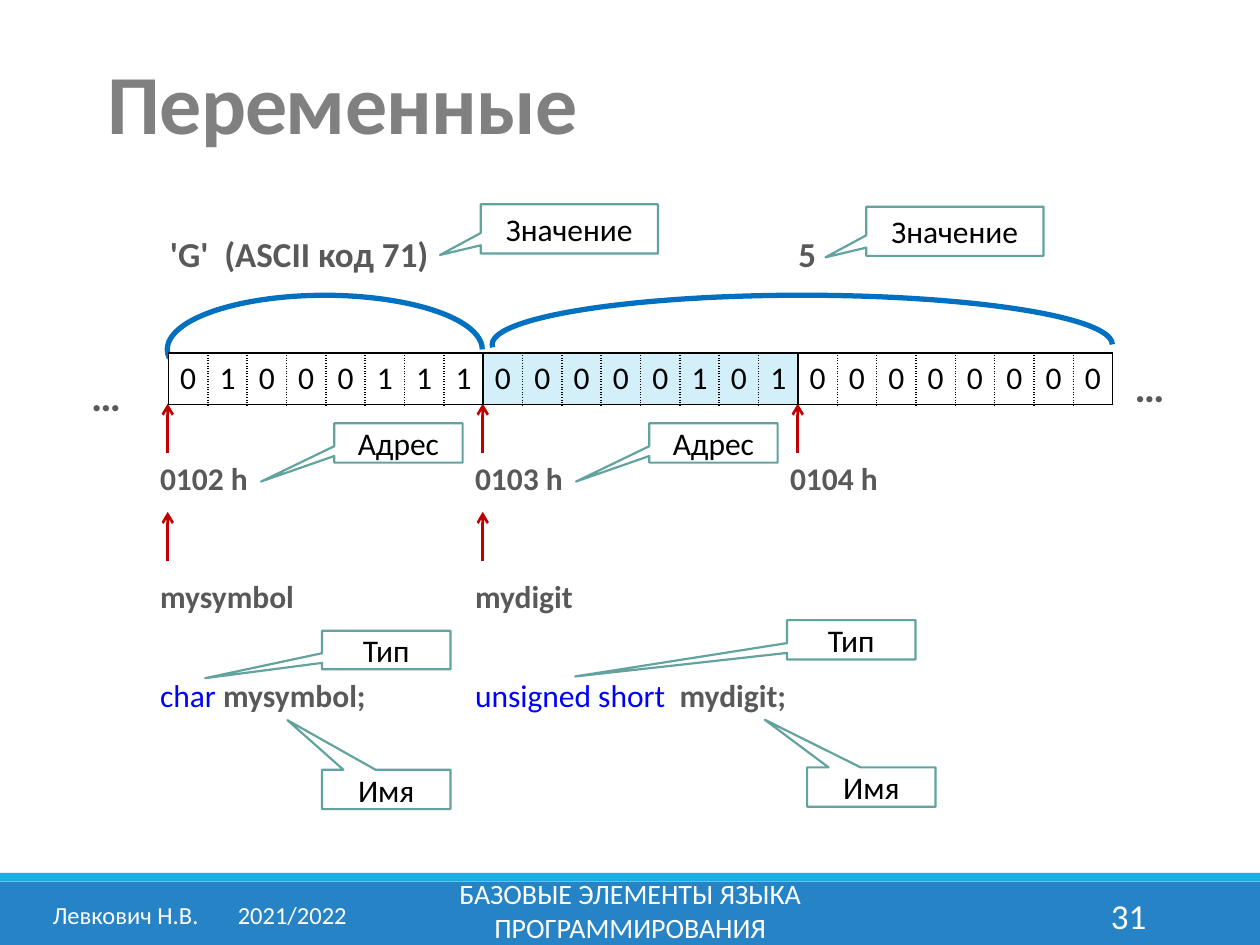
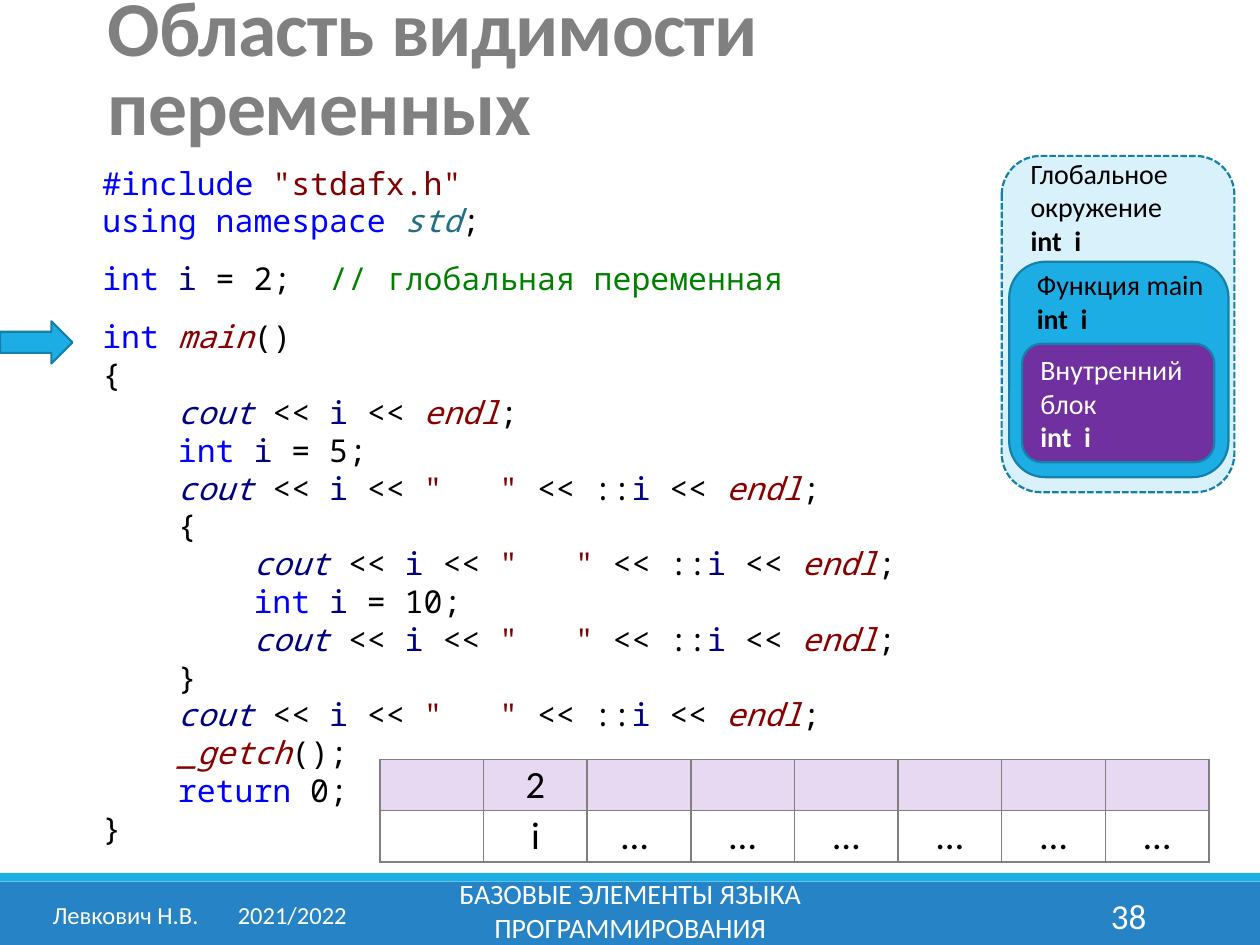
from dataclasses import dataclass, replace
from itertools import groupby
from typing import Iterator, NamedTuple, Optional

from lxml import etree
from pptx import Presentation
from pptx.dml.color import RGBColor
from pptx.enum.dml import MSO_LINE
from pptx.enum.shapes import MSO_CONNECTOR, MSO_SHAPE
from pptx.enum.text import MSO_ANCHOR, PP_ALIGN
from pptx.oxml.ns import qn
from pptx.util import Emu, Inches, Pt

LEFT, CENTER, RIGHT = PP_ALIGN.LEFT, PP_ALIGN.CENTER, PP_ALIGN.RIGHT
TOP, MIDDLE, BOTTOM = MSO_ANCHOR.TOP, MSO_ANCHOR.MIDDLE, MSO_ANCHOR.BOTTOM
RECTANGLE, ROUNDED, ARC = MSO_SHAPE.RECTANGLE, MSO_SHAPE.ROUNDED_RECTANGLE, MSO_SHAPE.ARC
CALLOUT, RIGHT_ARROW = MSO_SHAPE.RECTANGULAR_CALLOUT, MSO_SHAPE.RIGHT_ARROW
STRAIGHT, DASHED = MSO_CONNECTOR.STRAIGHT, MSO_LINE.SQUARE_DOT

SLIDE_WIDTH, SLIDE_HEIGHT = Inches(10), Inches(7.5)
UNIT = SLIDE_WIDTH // 32  # the slide is a grid of 32 columns and 24 rows
BYTE = 8  # columns taken by one byte of memory


@dataclass(frozen=True)
class Style:
    size: float
    colour: str
    bold: bool = False
    italic: bool = False
    font: str = "Calibri"


@dataclass(frozen=True)
class Theme:
    white: str = "FFFFFF"
    black: str = "000000"
    band: str = "2683C6"
    accent: str = "1CADE4"
    accent_dark: str = "1580A9"
    callout: str = "62A39F"
    arc: str = "0070C0"
    pointer: str = "C00000"
    digit_byte: str = "D2EFFA"
    block: str = "7030A0"
    value_row: str = "E8D9F3"
    grey: str = "808080"
    title: Style = Style(48, "808080", bold=True)
    label: Style = Style(18, "595959", bold=True)
    value: Style = Style(20, "595959", bold=True)
    ellipsis: Style = Style(24, "595959", bold=True)
    type_name: Style = Style(18, "0000FF")
    body: Style = Style(18, "000000")
    cell: Style = Style(22, "000000")
    scope: Style = Style(16, "000000")
    author: Style = Style(14, "FFFFFF")
    course: Style = Style(16, "FFFFFF")
    number: Style = Style(20, "FFFFFF")
    code: Style = Style(18, "000000", font="Noto Sans Mono")


THEME = Theme()
KEYWORD = replace(THEME.code, colour="0000FF")
VARIABLE = replace(THEME.code, colour="000080")
STREAM = replace(VARIABLE, italic=True)
FUNCTION = replace(THEME.code, colour="880000", italic=True)
NAMESPACE = replace(THEME.code, colour="216F85", italic=True)
STRING = replace(THEME.code, colour="800000")
COMMENT = replace(THEME.code, colour="008000")
WORD_STYLES = {
    **dict.fromkeys(("#include", "using", "namespace", "int", "return"), KEYWORD),
    **dict.fromkeys(("main", "endl", "_getch"), FUNCTION),
    "i": VARIABLE, "cout": STREAM, "std": NAMESPACE,
}


class Box(NamedTuple):
    """A place on the grid, in columns and rows."""
    col: float
    row: float
    cols: float
    rows: float

    def emu(self) -> list[Emu]:
        return [Emu(round(length * UNIT)) for length in self]


class Callout(NamedTuple):
    text: str
    box: Box
    tip: tuple[float, float]  # offset from the centre, in shares of the box


class Scope(NamedTuple):
    box: Box
    fill: str


class CodeLine(NamedTuple):
    text: str
    level: int = 0
    gap: float = 0


Run = tuple[str, Style]

BITS = "010001110000010100000000"
ADDRESSES = ("0102 h", "0103 h", "0104 h")
VARIABLE_NAMES = ("mysymbol", "mydigit")
DECLARATIONS = (("char ", "mysymbol;"), ("unsigned short  ", "mydigit;"))
CALLOUTS = (
    Callout("Тип", Box(8.18, 16.02, 3.26, 0.98), (-1.41, 0.73)),
    Callout("Тип", Box(19.99, 15.75, 3.26, 1), (-2.15, 0.93)),
    Callout("Имя", Box(8.18, 19.55, 3.26, 1), (-0.77, -1.76)),
    Callout("Имя", Box(20.5, 19.49, 3.26, 1), (-0.83, -1.71)),
    Callout("Адрес", Box(8.49, 10.75, 3.26, 1), (-1.07, 0.98)),
    Callout("Адрес", Box(8.49 + BYTE, 10.75, 3.26, 1), (-1.07, 0.98)),
    Callout("Значение", Box(12.21, 5.19, 4.5, 1.25), (-0.73, 0.53)),
    Callout("Значение", Box(22, 5.25, 4.5, 1.25), (-0.73, 0.53)),
)
PRINT_BOTH = 'cout << i << "   " << ::i << endl;'
CODE = (
    CodeLine('#include "stdafx.h"'),
    CodeLine("using namespace std;"),
    CodeLine("int i = 2;  // глобальная переменная", gap=11.5),
    CodeLine("int main()", gap=11.5),
    CodeLine("{"),
    CodeLine("cout << i << endl;", 1),
    CodeLine("int i = 5;", 1),
    CodeLine(PRINT_BOTH, 1),
    CodeLine("{", 1),
    CodeLine(PRINT_BOTH, 2),
    CodeLine("int i = 10;", 2),
    CodeLine(PRINT_BOTH, 2),
    CodeLine("}", 1),
    CodeLine(PRINT_BOTH, 1),
    CodeLine("_getch();", 1),
    CodeLine("return 0;", 1),
    CodeLine("}"),
)
GLOBAL_SCOPE = Scope(Box(25.44, 3.96, 5.91, 8.54), THEME.accent)
MAIN_SCOPE = Scope(Box(25.63, 6.65, 5.57, 5.47), THEME.accent)
BLOCK_SCOPE = Scope(Box(25.96, 8.73, 4.88, 3.01), THEME.block)


def rgb(colour: str) -> RGBColor:
    return RGBColor.from_string(colour)


def set_font(font, style: Style) -> None:
    font.name, font.size = style.font, Pt(style.size)
    font.bold, font.italic = style.bold, style.italic
    font.color.rgb = rgb(style.colour)


def write(frame, lines: list[list[Run]], align=LEFT, anchor=TOP) -> None:
    """Fill a text frame; each line is a paragraph made of styled runs."""
    frame.word_wrap, frame.vertical_anchor = True, anchor
    for index, runs in enumerate(lines):
        paragraph = frame.paragraphs[0] if index == 0 else frame.add_paragraph()
        paragraph.alignment = align
        shared = len({style for _, style in runs}) == 1
        if shared:
            set_font(paragraph.font, runs[0][1])
        for text, style in runs:
            run = paragraph.add_run()
            run.text = text
            if not shared:
                set_font(run.font, style)


def add_text(slide, box: Box, lines: list[list[Run]], align=LEFT, anchor=TOP):
    frame = slide.shapes.add_textbox(*box.emu()).text_frame
    write(frame, lines, align, anchor)
    return frame


def add_figure(slide, kind, box: Box, fill: Optional[str] = None,
               line: Optional[str] = None, width: float = 1.25):
    figure = slide.shapes.add_shape(kind, *box.emu())
    figure.shadow.inherit = False
    if fill:
        figure.fill.solid()
        figure.fill.fore_color.rgb = rgb(fill)
    else:
        figure.fill.background()
    if line:
        figure.line.color.rgb, figure.line.width = rgb(line), Pt(width)
    else:
        figure.line.fill.background()
    return figure


def add_pointer(slide, col: float, start: float, end: float) -> None:
    ends = (round(length * UNIT) for length in (col, start, col, end))
    pointer = slide.shapes.add_connector(STRAIGHT, *ends)
    pointer.line.color.rgb, pointer.line.width = rgb(THEME.pointer), Pt(1.5)
    etree.SubElement(pointer.line._get_or_add_ln(), qn("a:tailEnd"), type="arrow")
    etree.SubElement(pointer._element.spPr, qn("a:effectLst"))


def set_borders(cell, colour: str, dotted: str = "") -> None:
    """Draw all four borders; sides named in dotted (L, R, T, B) are dotted."""
    properties = cell._tc.get_or_add_tcPr()
    for index, side in enumerate("LRTB"):
        border = etree.Element(qn(f"a:ln{side}"), w=str(Pt(1)))
        fill = etree.SubElement(border, qn("a:solidFill"))
        etree.SubElement(fill, qn("a:srgbClr"), val=colour)
        dash = "sysDot" if side in dotted else "solid"
        etree.SubElement(border, qn("a:prstDash"), val=dash)
        properties.insert(index, border)


def add_grid(slide, box: Box, rows: int, columns: int):
    table = slide.shapes.add_table(rows, columns, *box.emu()).table
    table.first_row = table.horz_banding = False
    return table


def fill_cell(cell, text: str, style: Style, fill: str) -> None:
    cell.fill.solid()
    cell.fill.fore_color.rgb = rgb(fill)
    cell.margin_left = cell.margin_right = Inches(0.04)
    cell.margin_top = cell.margin_bottom = Inches(0.02)
    cell.vertical_anchor = MIDDLE
    paragraph = cell.text_frame.paragraphs[0]
    paragraph.text, paragraph.alignment = text, CENTER
    set_font(paragraph.font, style)


def start_slide(deck, title: str, number: str, title_style: Style = THEME.title):
    slide = deck.slides.add_slide(deck.slide_layouts[6])
    add_figure(slide, RECTANGLE, Box(0, 22.4, 32, 1.6), THEME.band)
    add_figure(slide, RECTANGLE, Box(0, 22.17, 32, 0.22), THEME.accent)
    heading = add_text(slide, Box(2.42, 0.8, 28.06, 3.2), [[(title, title_style)]], anchor=BOTTOM)
    heading.margin_right = Inches(0.4)
    heading.paragraphs[0].line_spacing = 0.85
    heading.paragraphs[0].runs[0]._r.get_or_add_rPr().set("spc", "-50")
    author = add_text(slide, Box(1.02, 22.6, 8.35, 1.28),
                      [[("Левкович Н.В.\t2021/2022", THEME.author)]], anchor=MIDDLE)
    tabs = etree.Element(qn("a:tabLst"))
    etree.SubElement(tabs, qn("a:tab"), pos=str(Inches(1.47)), algn="l")
    author.paragraphs[0]._p.get_or_add_pPr().insert(0, tabs)
    add_text(slide, Box(9.67, 22.33, 12.67, 1.57),
             [[("БАЗОВЫЕ ЭЛЕМЕНТЫ ЯЗЫКА ПРОГРАММИРОВАНИЯ", THEME.course)]], CENTER, MIDDLE)
    add_text(slide, Box(25.97, 22.6, 3.46, 1.28), [[(number, THEME.number)]], RIGHT, MIDDLE)
    return slide


def add_memory(slide) -> None:
    memory = add_grid(slide, Box(4.28, 8.97, len(BITS), 1.31), 1, len(BITS))
    for index, bit in enumerate(BITS):
        byte, place = divmod(index, BYTE)
        cell = memory.cell(0, index)
        fill_cell(cell, bit, THEME.body, THEME.digit_byte if byte == 1 else THEME.white)
        set_borders(cell, THEME.black, {0: "R", BYTE - 1: "L"}.get(place, "LR"))


def add_variables_slide(deck) -> None:
    slide = start_slide(deck, "Переменные", "31")
    for index, address in enumerate(ADDRESSES):
        add_pointer(slide, 4.26 + index * BYTE, 11.5, 10.25)
        add_text(slide, Box(3.75 + index * BYTE, 11.5, 3.2, 1.28), [[(address, THEME.label)]])
    for index, name in enumerate(VARIABLE_NAMES):
        add_pointer(slide, 4.26 + index * BYTE, 14.25, 13)
        add_text(slide, Box(3.75 + index * BYTE, 14.5, 5.25, 1.28), [[(name, THEME.label)]])
    for index, (type_name, name) in enumerate(DECLARATIONS):
        add_text(slide, Box(3.75 + index * BYTE, 17, 7.5 + index * 3.5, 1.28),
                 [[(type_name, THEME.type_name), (name, THEME.label)]])
    for col, row in ((2, 9.24), (28.5, 8.99)):
        add_text(slide, Box(col, row, 1.5, 1.63), [[("…", THEME.ellipsis)]])
    add_text(slide, Box(4, 5.75, 9, 1.41), [[("'G'  (ASCII код 71)", THEME.value)]])
    add_text(slide, Box(16, 5.75, 9, 1.41), [[("5", THEME.value)]], CENTER)
    for box, start in ((Box(12.5, 7.5, 15.75, 2.5), 107.67), (Box(4.25, 7.5, 8, 2.75), 105.99)):
        arc = add_figure(slide, ARC, box, line=THEME.arc, width=3)
        arc.adjustments[0], arc.adjustments[1] = start, 0
    for note in CALLOUTS:
        callout = add_figure(slide, CALLOUT, note.box, THEME.white, THEME.callout)
        callout.adjustments[0], callout.adjustments[1] = note.tip
        write(callout.text_frame, [[(note.text, THEME.body)]], CENTER, MIDDLE)
    add_memory(slide)


def tokens(line: str) -> Iterator[Run]:
    """Split a line of C++ into words, strings and a comment with their styles."""
    code, slashes, comment = line.partition("//")
    for index, part in enumerate(code.split('"')):
        if index % 2:
            yield f'"{part}"', STRING
            continue
        for _, letters in groupby(part, lambda letter: letter.isalnum() or letter in "#_"):
            word = "".join(letters)
            yield word, WORD_STYLES.get(word, THEME.code)
    if comment:
        yield slashes + comment, COMMENT


def add_code(slide) -> None:
    frame = add_text(slide, Box(2.6, 4, 29.4, 17.86), [list(tokens(line.text)) for line in CODE])
    frame.margin_left = frame.margin_right = 0
    for paragraph, line in zip(frame.paragraphs, CODE):
        paragraph.space_before = Pt(line.gap)
        paragraph._p.get_or_add_pPr().set("marL", str(Inches(0.6) * line.level))


def scope_lines(name: str, style: Style) -> list[list[Run]]:
    return [[(name, style)], [("int  i", replace(style, bold=True))]]


def add_scopes(slide) -> None:
    outer, _, inner = (add_figure(slide, ROUNDED, scope.box, scope.fill, THEME.accent_dark)
                       for scope in (GLOBAL_SCOPE, MAIN_SCOPE, BLOCK_SCOPE))
    outer.line.dash_style = DASHED
    tint = outer._element.spPr.find(qn("a:solidFill")).find(qn("a:srgbClr"))
    etree.SubElement(tint, qn("a:alpha"), val="17000")
    write(inner.text_frame, scope_lines("Внутренний блок", THEME.course), anchor=MIDDLE)
    add_text(slide, Box(25.86, 3.81, 5.06, 2.88), scope_lines("Глобальное окружение", THEME.scope))
    add_text(slide, Box(26.02, 6.65, 5.06, 2.88), scope_lines("Функция main", THEME.scope))


def add_scope_slide(deck) -> None:
    slide = start_slide(deck, "Область видимости переменных", "38", replace(THEME.title, size=44.4))
    add_code(slide)
    rows = (["", "2"] + [""] * 6, ["", "i", "… "] + ["…"] * 5)
    values = add_grid(slide, Box(9.65, 19.29, 21.06, 2.6), len(rows), len(rows[0]))
    for row, (texts, fill) in enumerate(zip(rows, (THEME.value_row, THEME.white))):
        for column, text in enumerate(texts):
            fill_cell(values.cell(row, column), text, THEME.cell, fill)
            set_borders(values.cell(row, column), THEME.grey)
    add_figure(slide, RIGHT_ARROW, Box(0, 8.16, 1.84, 1.07), THEME.accent, THEME.accent_dark)
    add_scopes(slide)


def main() -> None:
    deck = Presentation()
    deck.slide_width, deck.slide_height = SLIDE_WIDTH, SLIDE_HEIGHT
    add_variables_slide(deck)
    add_scope_slide(deck)
    deck.save("out.pptx")


if __name__ == "__main__":
    main()
